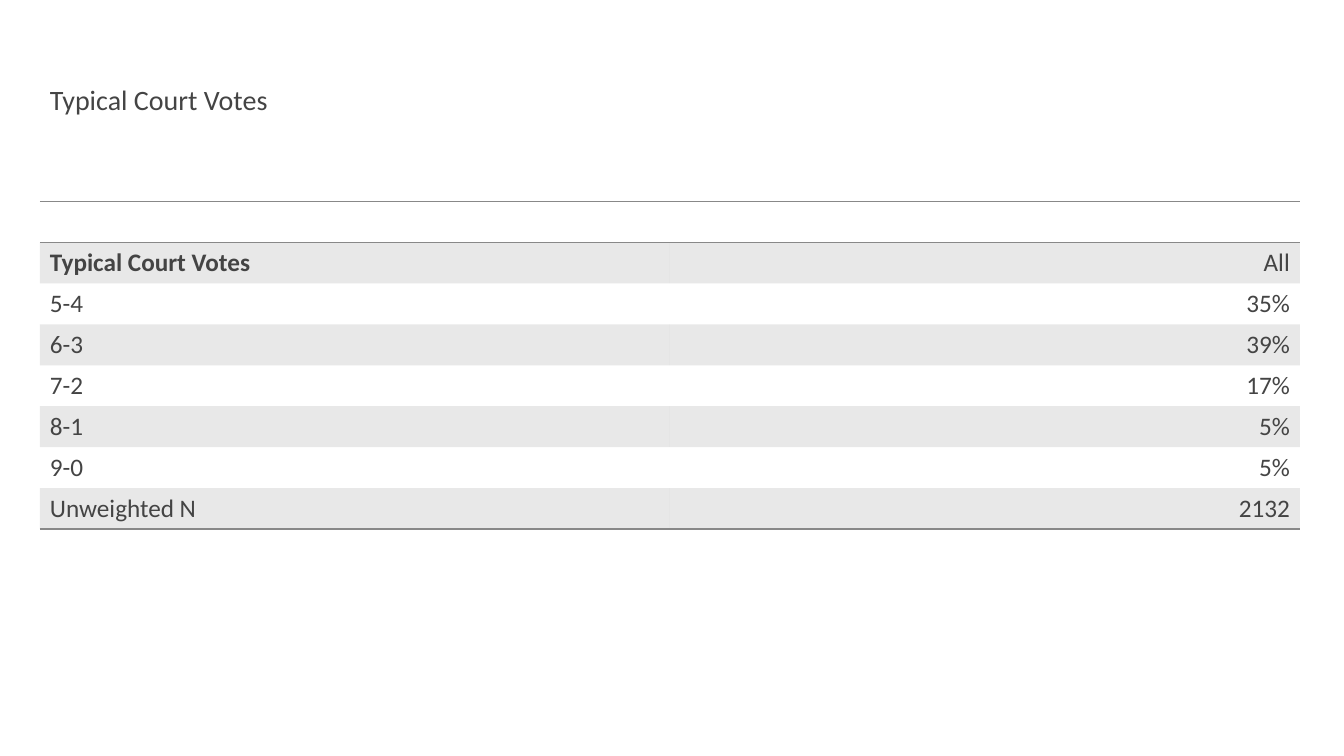
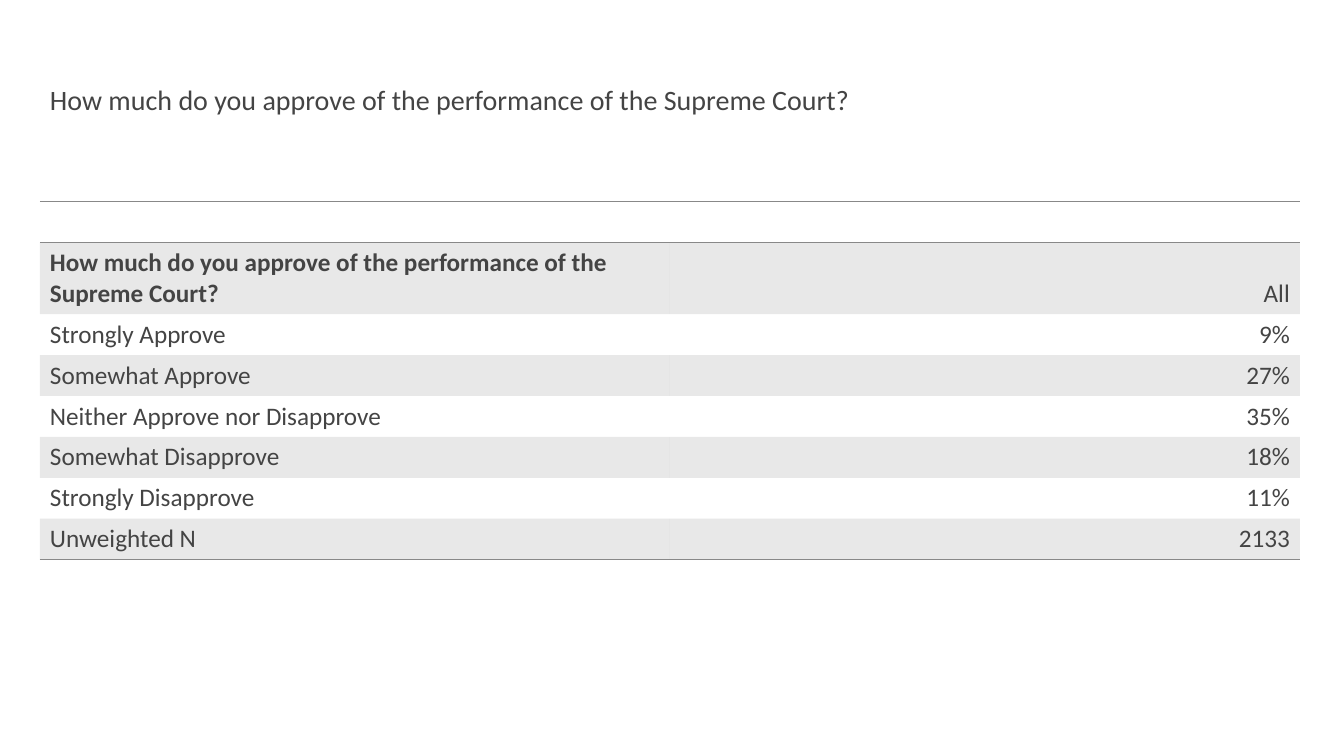
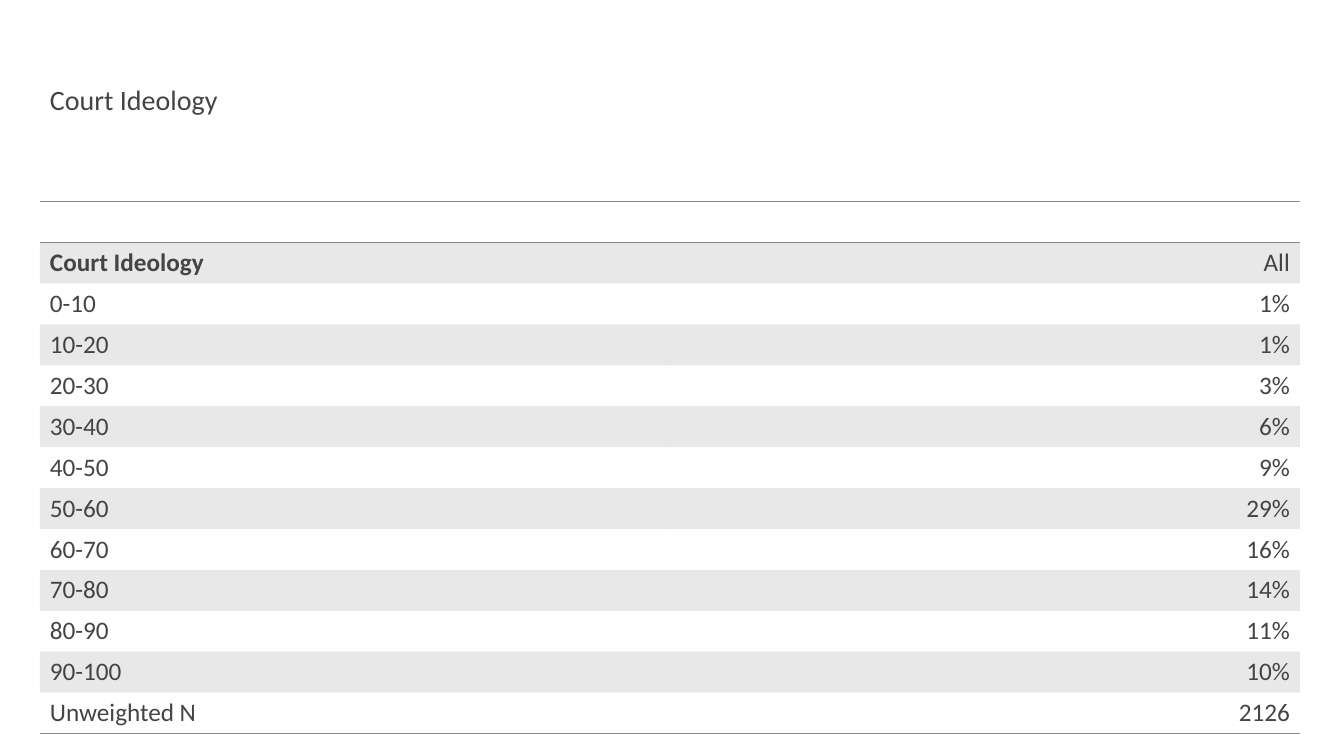
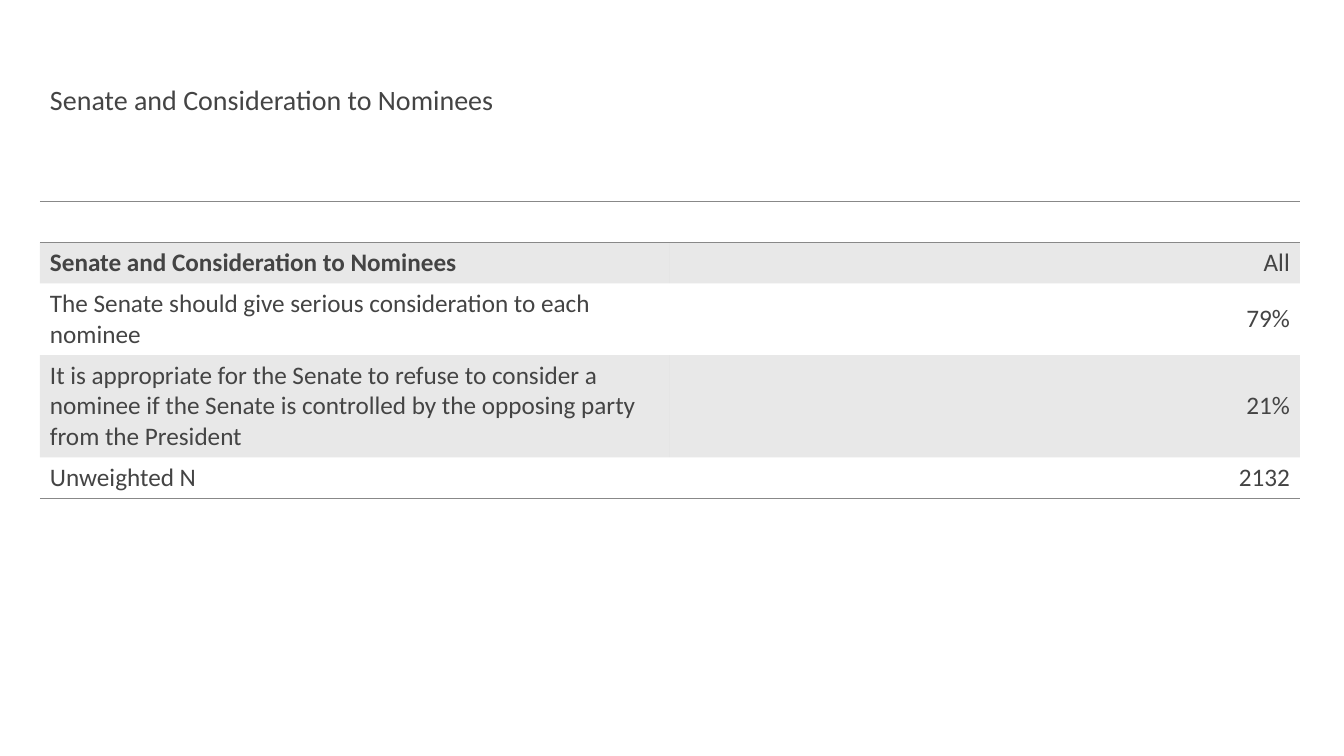
from lxml.etree import SubElement
from pptx import Presentation
from pptx.dml.color import RGBColor
from pptx.enum.text import MSO_ANCHOR as Anchor, MSO_AUTO_SIZE as AutoSize, PP_ALIGN as Align
from pptx.oxml import parse_xml
from pptx.oxml.ns import nsdecls, qn
from pptx.util import Pt

SURVEYS = [
    ("Typical Court Votes", [
        ("5-4", "35%"),
        ("6-3", "39%"),
        ("7-2", "17%"),
        ("8-1", "5%"),
        ("9-0", "5%"),
        ("Unweighted N", "2132"),
    ]),
    ("How much do you approve of the performance of the Supreme Court?", [
        ("Strongly Approve", "9%"),
        ("Somewhat Approve", "27%"),
        ("Neither Approve nor Disapprove", "35%"),
        ("Somewhat Disapprove", "18%"),
        ("Strongly Disapprove", "11%"),
        ("Unweighted N", "2133"),
    ]),
    ("Court Ideology", [
        ("0-10", "1%"),
        ("10-20", "1%"),
        ("20-30", "3%"),
        ("30-40", "6%"),
        ("40-50", "9%"),
        ("50-60", "29%"),
        ("60-70", "16%"),
        ("70-80", "14%"),
        ("80-90", "11%"),
        ("90-100", "10%"),
        ("Unweighted N", "2126"),
    ]),
    ("Senate and Consideration to Nominees", [
        ("The Senate should give serious consideration to each nominee", "79%"),
        ("It is appropriate for the Senate to refuse to consider a nominee if the Senate "
         "is controlled by the opposing party from the President", "21%"),
        ("Unweighted N", "2132"),
    ]),
]

EMU_PER_PX = 9525
SLIDE_WIDTH, SLIDE_HEIGHT = 1280, 720
LEFT, WIDTH = 38, 1200
TITLE_TOP, TITLE_HEIGHT = 38, 78
TABLE_TOP, ROW_HEIGHT = 192, 39

INK, RULE = "444444", "888888"
BAND_ALPHA = 12
RULE_POINTS = 1
PLAIN_TABLE_STYLE = "{2D5ABB26-0587-4C30-8999-92F81FD0307C}"

TITLE_FONT = {"name": "Calibri", "size": Pt(20), "bold": False}
CELL_FONT = {"name": "Calibri", "size": Pt(18), "bold": False}
HEADING_FONT = {**CELL_FONT, "bold": True}
TITLE_FRAME = {"vertical_anchor": Anchor.BOTTOM, "word_wrap": True, "auto_size": AutoSize.NONE}


def px(length):
    return length * EMU_PER_PX


def color(value):
    return RGBColor.from_string(value)


def apply_format(target, values):
    for name, value in values.items():
        setattr(target, name, value)


def write(paragraph, text, font, alignment):
    paragraph.alignment = alignment
    run = paragraph.add_run()
    run.text = text
    apply_format(run.font, font)
    run.font.color.rgb = color(INK)


def add_title(slide, text):
    title = slide.shapes.title
    apply_format(title, {"left": px(LEFT), "top": px(TITLE_TOP),
                         "width": px(WIDTH), "height": px(TITLE_HEIGHT)})
    apply_format(title.text_frame, TITLE_FRAME)
    paragraph = title.text_frame.paragraphs[0]
    paragraph.line_spacing = 0.9
    write(paragraph, text, TITLE_FONT, Align.LEFT)


def fill_cell(cell, banded):
    if not banded:
        cell.fill.background()
        return
    cell.fill.solid()
    cell.fill.fore_color.rgb = color(INK)
    fill_color = cell._tc.tcPr.find(".//" + qn("a:srgbClr"))
    SubElement(fill_color, qn("a:alpha"), val=str(BAND_ALPHA * 1000))


def add_borders(cell, sides):
    for position, side in enumerate(sides):
        border = parse_xml(
            f'<a:ln{side} {nsdecls("a")} w="{Pt(RULE_POINTS)}">'
            f'<a:solidFill><a:srgbClr val="{RULE}"/></a:solidFill></a:ln{side}>')
        cell._tc.get_or_add_tcPr().insert(position, border)


def add_survey_table(slide, heading, answers):
    rows = [("", ""), (heading, "All"), *answers]
    frame = slide.shapes.add_table(len(rows), 2, px(LEFT), px(TABLE_TOP),
                                   px(WIDTH), px(ROW_HEIGHT * len(rows)))
    table = frame.table
    apply_format(table, {"first_row": False, "horz_banding": False})
    table._tbl.tblPr.find(qn("a:tableStyleId")).text = PLAIN_TABLE_STYLE
    borders = {0: "TB", len(rows) - 1: "B"}
    for row, texts in enumerate(rows):
        for column, text in enumerate(texts):
            cell = table.cell(row, column)
            cell.vertical_anchor = Anchor.BOTTOM if row == 1 else Anchor.MIDDLE
            fill_cell(cell, row % 2 == 1)
            add_borders(cell, borders.get(row, ""))
            if text:
                font = HEADING_FONT if (row, column) == (1, 0) else CELL_FONT
                write(cell.text_frame.paragraphs[0], text, font,
                      Align.RIGHT if column else Align.LEFT)


def main():
    presentation = Presentation()
    apply_format(presentation, {"slide_width": px(SLIDE_WIDTH), "slide_height": px(SLIDE_HEIGHT)})
    title_only = presentation.slide_layouts[5]
    for heading, answers in SURVEYS:
        slide = presentation.slides.add_slide(title_only)
        add_title(slide, heading)
        add_survey_table(slide, heading, answers)
    presentation.save("out.pptx")


if __name__ == "__main__":
    main()
